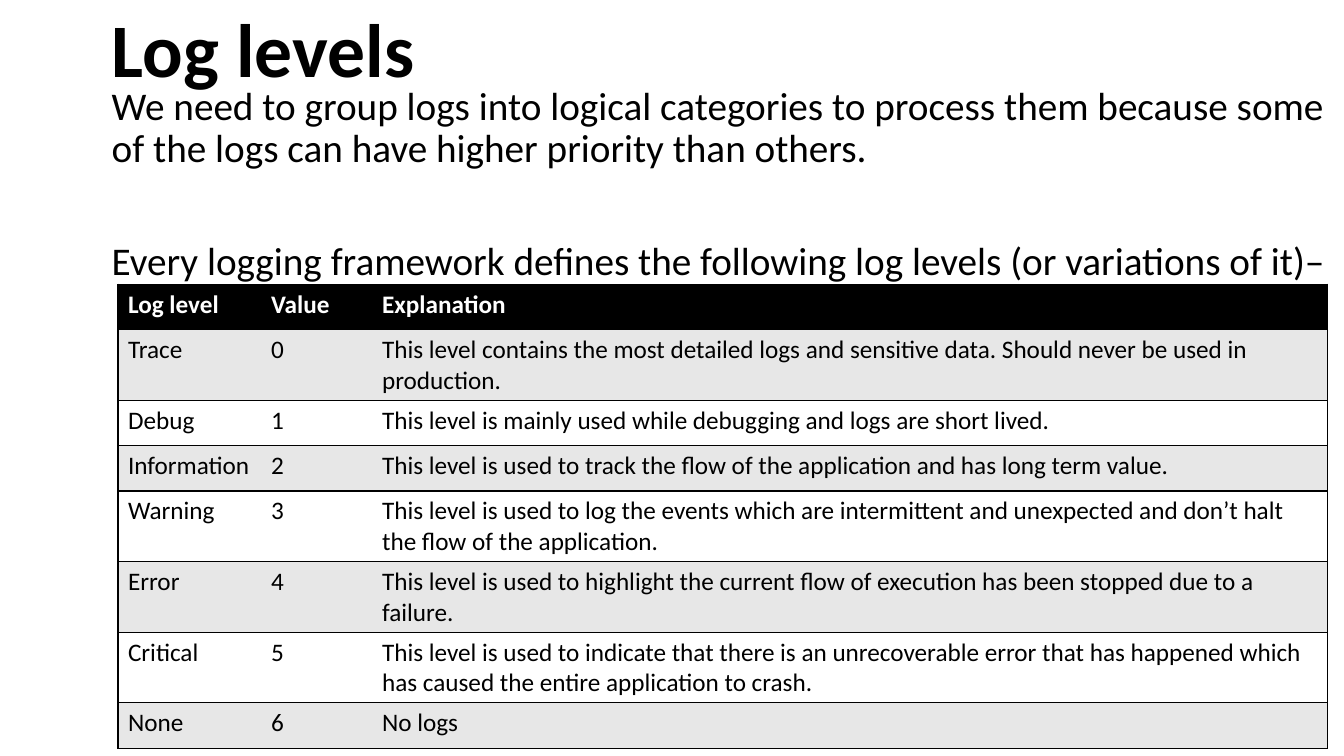
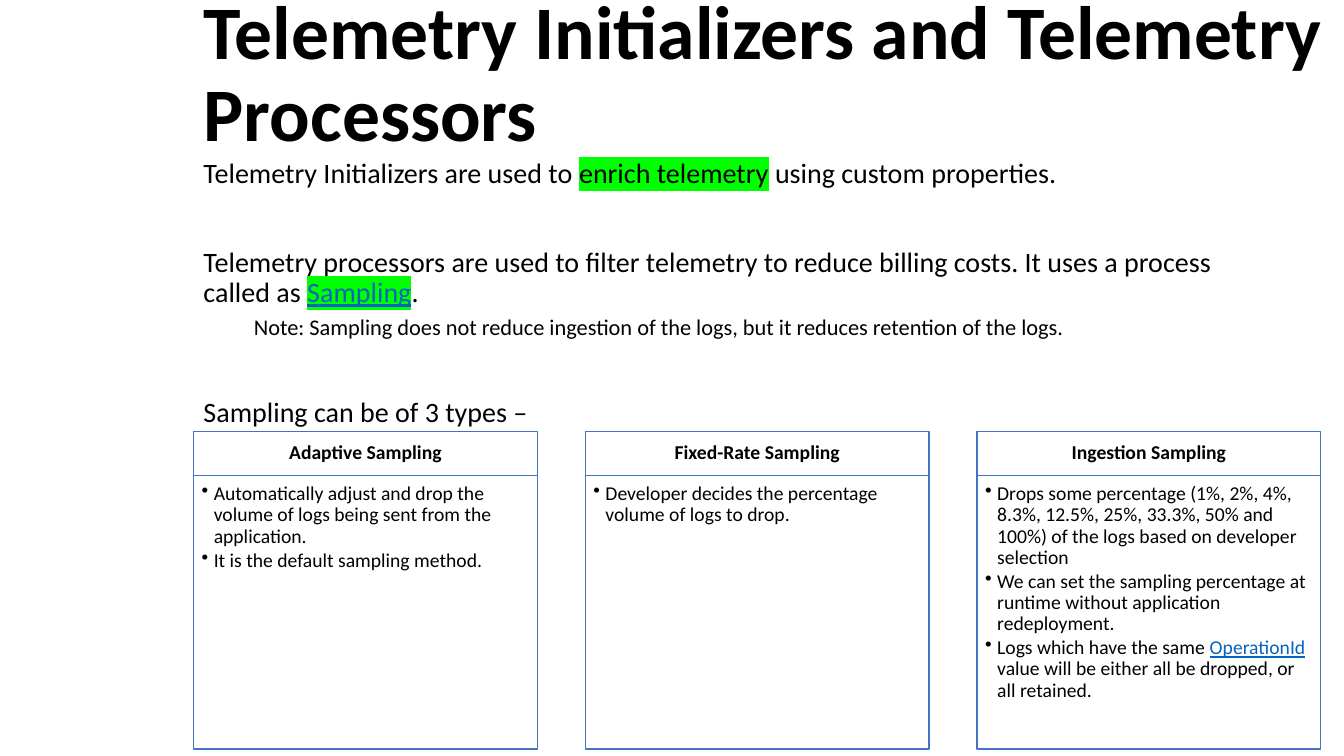
"""Build two slides about log levels and telemetry sampling."""
from lxml.etree import SubElement
from pptx import Presentation
from pptx.dml.color import RGBColor
from pptx.enum.shapes import MSO_SHAPE
from pptx.enum.text import MSO_ANCHOR, MSO_AUTO_SIZE, PP_ALIGN
from pptx.oxml import parse_xml
from pptx.oxml.ns import nsdecls, qn
from pptx.util import Inches, Pt

FONT = "Calibri"
COLORS = {"text": "000000", "paper": "FFFFFF", "band": "E7E7E7", "link": "0563C1",
          "mark": "00FF00", "card": "4472C4"}

LOG_TITLE = ("Log levels", (1.01, 0, 3.36, 1.06))
LOG_BOX = (1.01, 0.81, 12.32, 2)
LOG_INTRO = [
    {"text": "We need to group logs into logical categories to process them because "
             "some of the logs can have higher priority than others.", "size": 28},
    {"text": "Every logging framework defines the following log levels "
             "(or variations of it)–", "size": 28, "before": 50},
]
LEVEL_TABLE = (1.17, 2.82, 12, 3.6)
LEVEL_COLUMNS = [1.42, 1.1, 9.48]
LEVEL_HEADER = ("Log level", "Value", "Explanation")
LEVELS = [
    ("Trace", "This level contains the most detailed logs and sensitive data. "
              "Should never be used in production."),
    ("Debug", "This level is mainly used while debugging and logs are short lived."),
    ("Information", "This level is used to track the flow of the application and has "
                    "long term value."),
    ("Warning", "This level is used to log the events which are intermittent and "
                "unexpected and don’t halt the flow of the application."),
    ("Error", "This level is used to highlight the current flow of execution has been "
              "stopped due to a failure."),
    ("Critical", "This level is used to indicate that there is an unrecoverable error "
                 "that has happened which has caused the entire application to crash."),
    ("None", "No logs"),
]

TELEMETRY_TITLE = ("Telemetry Initializers and Telemetry Processors", (1.92, 0, 11.42, 1.51))
TELEMETRY_BOX = (1.92, 1.53, 10.57, 2.88)
TELEMETRY_INTRO = [
    {"text": ["Telemetry Initializers are used to ", ("enrich telemetry", "mark"),
              " using custom properties."], "size": 20},
    {"text": ["Telemetry processors are used to filter telemetry to reduce billing costs. "
              "It uses a process called as ", ("Sampling", "mark link"), "."],
     "size": 20, "before": 42},
    {"text": "Note: Sampling does not reduce ingestion of the logs, but it reduces "
             "retention of the logs.", "size": 16, "before": 5, "indent": 0.5},
    {"text": "Sampling can be of 3 types –", "size": 20, "before": 42},
]
SAMPLING_TYPES = [
    ("Adaptive Sampling", [
        "Automatically adjust and drop the volume of logs being sent from the application.",
        "It is the default sampling method."]),
    ("Fixed-Rate Sampling", ["Developer decides the percentage volume of logs to drop."]),
    ("Ingestion Sampling", [
        "Drops some percentage (1%, 2%, 4%, 8.3%, 12.5%, 25%, 33.3%, 50% and 100%) of the "
        "logs based on developer selection",
        "We can set the sampling percentage at runtime without application redeployment.",
        ["Logs which have the same ", ("OperationId", "link"),
         " value will be either all be dropped, or all retained."]]),
]
CARD_LEFT, CARD_RIGHT, CARD_TOP, CARD_WIDTH = 1.92, 13.1, 4.28, 3.41
HEADING_HEIGHT, DETAIL_HEIGHT = 0.44, 2.71


def rgb(name):
    return RGBColor.from_string(COLORS[name])


def inches(lengths):
    return [Inches(length) for length in lengths]


def set_font(para, size, bold=False, color="text"):
    para.font.name, para.font.size, para.font.bold = FONT, Pt(size), bold
    para.font.color.rgb = rgb(color)


def add_spans(para, text):
    for part in [text] if isinstance(text, str) else text:
        words, style = (part, "") if isinstance(part, str) else part
        span = para.add_run()
        span.text = words
        if style:
            span.font.color.rgb = rgb("link" if "link" in style else "text")
            span.font.underline = "link" in style
        if "mark" in style:
            highlight = parse_xml(f'<a:highlight {nsdecls("a")}><a:srgbClr '
                                  f'val="{COLORS["mark"]}"/></a:highlight>')
            span.font.fill._xPr.find(qn("a:solidFill")).addnext(highlight)


def write(frame, items):
    frame.word_wrap = True
    for index, item in enumerate(items):
        para = frame.paragraphs[0] if index == 0 else frame.add_paragraph()
        add_spans(para, item["text"])
        set_font(para, item["size"], item.get("bold", False))
        para.alignment = item.get("align", PP_ALIGN.LEFT)
        para.line_spacing = 0.9
        para.space_before, para.space_after = Pt(item.get("before", 0)), Pt(item.get("after", 0))
        properties = para._p.get_or_add_pPr()
        properties.set("marL", str(Inches(item.get("indent", 0))))
        if item.get("bullet"):
            properties.set("indent", str(-Inches(item["indent"])))
            SubElement(properties, qn("a:buChar")).set("char", "•")


def add_page(deck, title, intro_box, intro):
    page = deck.slides.add_slide(deck.slide_layouts[5])
    heading = page.shapes.title
    words, place = title
    heading.left, heading.top, heading.width, heading.height = inches(place)
    write(heading.text_frame, [{"text": words, "size": 54, "bold": True}])
    heading.text_frame.auto_size = MSO_AUTO_SIZE.NONE
    heading.text_frame.vertical_anchor = MSO_ANCHOR.MIDDLE
    write(page.shapes.add_textbox(*inches(intro_box)).text_frame, intro)
    return page


def set_borders(cell, visible):
    properties = cell._tc.get_or_add_tcPr()
    for index, side in enumerate("LRTB"):
        paint = (f'<a:solidFill><a:srgbClr val="{COLORS["text"]}"/></a:solidFill>'
                 if side in visible else "<a:noFill/>")
        border = parse_xml(f'<a:ln{side} {nsdecls("a")} w="{Pt(1)}">{paint}</a:ln{side}>')
        properties.insert(index, border)


def add_level_table(page):
    rows = [LEVEL_HEADER] + [(name, str(value), note)
                             for value, (name, note) in enumerate(LEVELS)]
    table = page.shapes.add_table(len(rows), len(LEVEL_COLUMNS), *inches(LEVEL_TABLE)).table
    table.horz_banding = False
    for column, width in zip(table.columns, LEVEL_COLUMNS):
        column.width = Inches(width)
    sides = ["LTB", "TB", "RTB"]
    for row, values in enumerate(rows):
        header = row == 0
        fill = "text" if header else "band" if row % 2 else "paper"
        for column, value in enumerate(values):
            cell = table.cell(row, column)
            cell.text = value
            set_font(cell.text_frame.paragraphs[0], 18, header, "paper" if header else "text")
            cell.fill.solid()
            cell.fill.fore_color.rgb = rgb(fill)
            set_borders(cell, sides[column])


def add_panel(page, place, margins, anchor, items):
    panel = page.shapes.add_shape(MSO_SHAPE.RECTANGLE, *inches(place))
    panel.shadow.inherit = False
    panel.fill.solid()
    panel.fill.fore_color.rgb = rgb("paper")
    panel.line.color.rgb = rgb("card")
    panel.line.width = Pt(1)
    frame = panel.text_frame
    frame.margin_left, frame.margin_top, frame.margin_right, frame.margin_bottom = inches(margins)
    frame.vertical_anchor = anchor
    write(frame, items)


def add_sampling_cards(page):
    step = (CARD_RIGHT - CARD_LEFT - CARD_WIDTH) / (len(SAMPLING_TYPES) - 1)
    for index, (name, details) in enumerate(SAMPLING_TYPES):
        left = CARD_LEFT + index * step
        add_panel(page, (left, CARD_TOP, CARD_WIDTH, HEADING_HEIGHT),
                  (0.11, 0.06, 0.11, 0.06), MSO_ANCHOR.MIDDLE,
                  [{"text": name, "size": 14, "bold": True, "align": PP_ALIGN.CENTER}])
        add_panel(page, (left, CARD_TOP + HEADING_HEIGHT, CARD_WIDTH, DETAIL_HEIGHT),
                  (0.08, 0.08, 0.11, 0.12), MSO_ANCHOR.TOP,
                  [{"text": detail, "size": 14, "after": 2, "indent": 0.12, "bullet": True}
                   for detail in details])


deck = Presentation()
deck.slide_width, deck.slide_height = inches((13.33, 7.5))
add_level_table(add_page(deck, LOG_TITLE, LOG_BOX, LOG_INTRO))
add_sampling_cards(add_page(deck, TELEMETRY_TITLE, TELEMETRY_BOX, TELEMETRY_INTRO))
deck.save("out.pptx")
